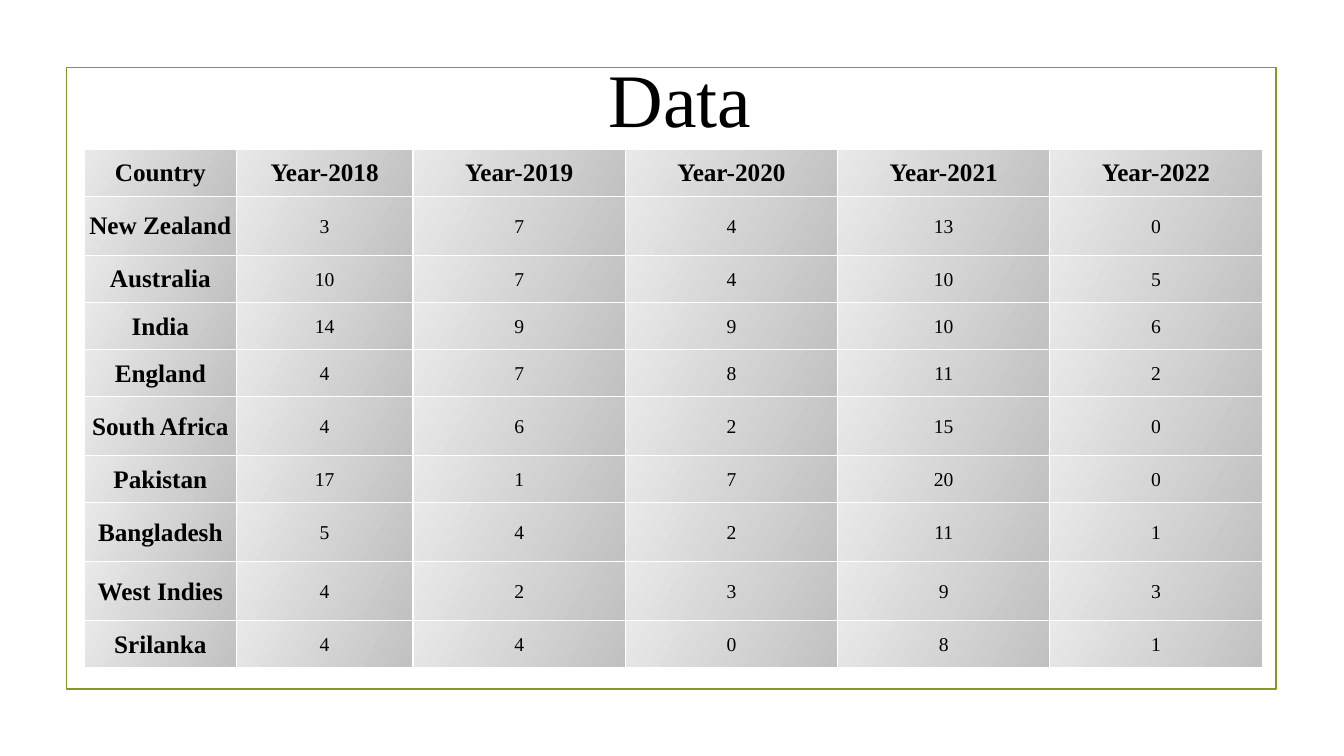
import pptx
import pptx.dml.color
import pptx.enum.shapes
import pptx.enum.text
import pptx.oxml
import pptx.oxml.ns
import pptx.util
from pptx.util import Cm

FONT = "Times New Roman"
YEARS = range(2018, 2023)
COUNTS = {
    "New Zealand": (3, 7, 4, 13, 0),
    "Australia": (10, 7, 4, 10, 5),
    "India": (14, 9, 9, 10, 6),
    "England": (4, 7, 8, 11, 2),
    "South Africa": (4, 6, 2, 15, 0),
    "Pakistan": (17, 1, 7, 20, 0),
    "Bangladesh": (5, 4, 2, 11, 1),
    "West Indies": (4, 2, 3, 9, 3),
    "Srilanka": (4, 4, 0, 8, 1),
}
TALL_ROWS = {"New Zealand", "South Africa", "Bangladesh", "West Indies"}
COLUMN_WIDTHS = [3.82, 4.46] + [5.35] * 4
CELL_FORMAT = {
    "margin_left": Cm(0.03),
    "margin_top": Cm(0.03),
    "margin_right": Cm(0.03),
    "margin_bottom": 0,
    "vertical_anchor": pptx.enum.text.MSO_ANCHOR.MIDDLE,
}


def rgb(value):
    return pptx.dml.color.RGBColor.from_string(value)


def write_centred(text_frame, text, size, bold=False):
    paragraph = text_frame.paragraphs[0]
    paragraph.alignment = pptx.enum.text.PP_ALIGN.CENTER
    run = paragraph.add_run()
    run.text = text
    font_format = {"name": FONT, "size": pptx.util.Pt(size), "bold": bold}
    for attribute, value in font_format.items():
        setattr(run.font, attribute, value)
    run.font.color.rgb = rgb("000000")


def add_frame(slide):
    frame = slide.shapes.add_shape(
        pptx.enum.shapes.MSO_SHAPE.RECTANGLE,
        Cm(1.68), Cm(1.7), Cm(30.48), Cm(15.67))
    frame.shadow.inherit = False
    frame.fill.background()
    frame.line.color.rgb = rgb("83992A")
    frame.line.width = pptx.util.Pt(1.25)


def add_title(slide, text):
    title = slide.shapes.add_textbox(Cm(14.53), Cm(1.19), Cm(5.21), Cm(2.57))
    title.text_frame.word_wrap = False
    title.text_frame.auto_size = pptx.enum.text.MSO_AUTO_SIZE.SHAPE_TO_FIT_TEXT
    write_centred(title.text_frame, text, 54)


def shade(cell):
    """Fill the cell with the grey gradient, falling 30 degrees to the right."""
    cell.fill.gradient()
    cell.fill.gradient_angle = 330
    for stop, colour in zip(cell.fill.gradient_stops, ("E9E9E9", "C1C1C1")):
        stop.color.rgb = rgb(colour)


def add_borders(cell, colour, width):
    """Insert the four border lines ahead of the fill, as the schema requires."""
    properties = cell._tc.get_or_add_tcPr()
    for position, side in enumerate(("lnL", "lnR", "lnT", "lnB")):
        border = pptx.oxml.parse_xml(
            f'<a:{side} {pptx.oxml.ns.nsdecls("a")} w="{pptx.util.Pt(width)}">'
            f'<a:solidFill><a:srgbClr val="{colour}"/></a:solidFill></a:{side}>')
        properties.insert(position, border)


def add_counts_table(slide):
    header = ["Country"] + [f"Year-{year}" for year in YEARS]
    rows = [header] + [[country, *counts] for country, counts in COUNTS.items()]
    heights = [1.48 if row[0] in TALL_ROWS else 1.19 for row in rows]
    table = slide.shapes.add_table(
        len(rows), len(header), Cm(2.13), Cm(3.76),
        Cm(sum(COLUMN_WIDTHS)), Cm(sum(heights))).table
    table.first_row = table.horz_banding = False
    for column, width in zip(table.columns, COLUMN_WIDTHS):
        column.width = Cm(width)
    for row_index, (row, height) in enumerate(zip(rows, heights)):
        table.rows[row_index].height = Cm(height)
        for column_index, value in enumerate(row):
            cell = table.cell(row_index, column_index)
            for attribute, setting in CELL_FORMAT.items():
                setattr(cell, attribute, setting)
            heading = row_index == 0 or column_index == 0
            write_centred(cell.text_frame, str(value), 18 if heading else 14, heading)
            shade(cell)
            add_borders(cell, "FFFFFF", 1)


def main():
    presentation = pptx.Presentation()
    presentation.slide_width = Cm(33.87)
    presentation.slide_height = Cm(19.05)
    slide = presentation.slides.add_slide(presentation.slide_layouts[6])
    add_frame(slide)
    add_counts_table(slide)
    add_title(slide, "Data")
    presentation.save("out.pptx")


if __name__ == "__main__":
    main()
